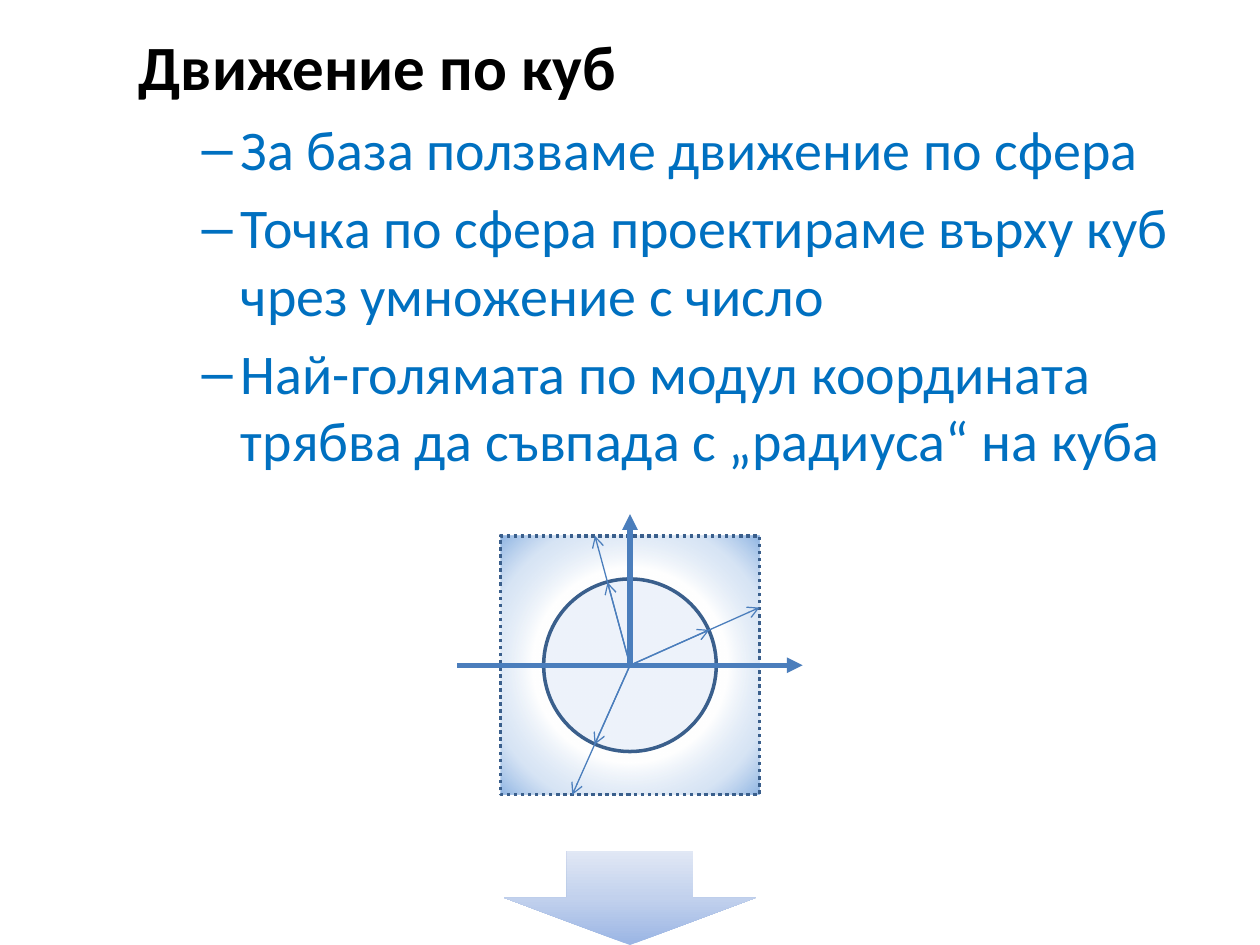
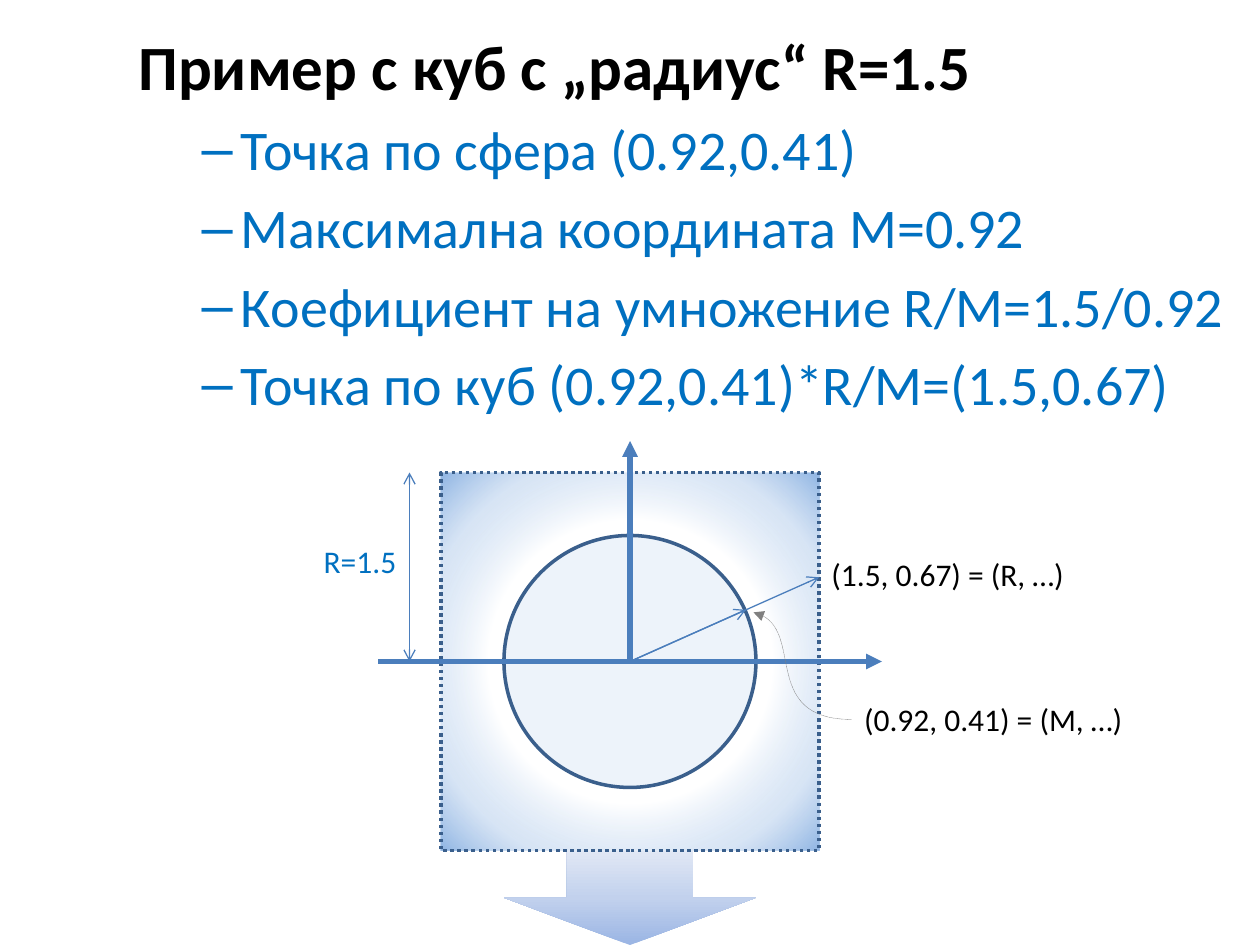
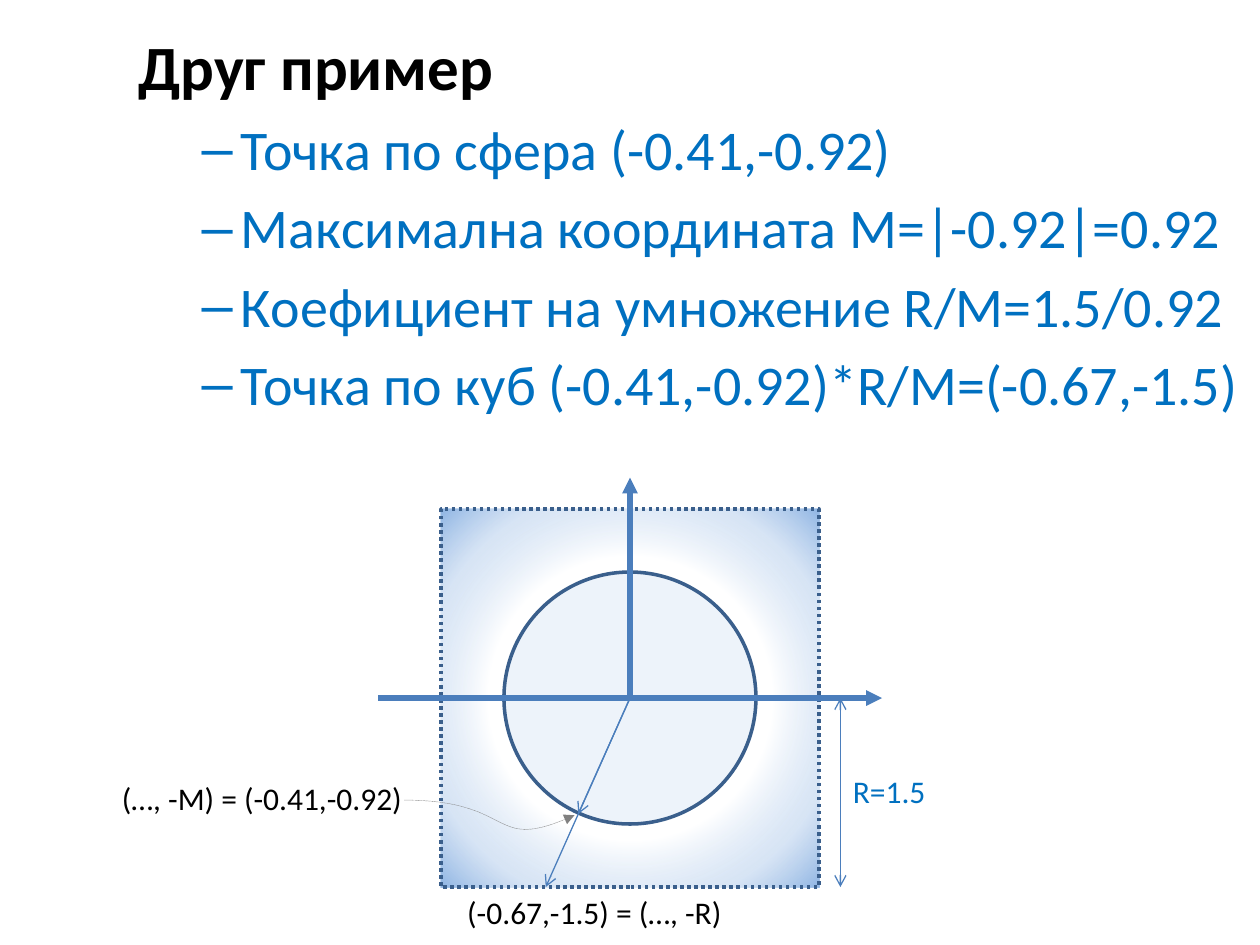
import pptx
import pptx.util
import pptx.dml.color
import pptx.enum.dml
import pptx.enum.shapes
import pptx.enum.text
import pptx.oxml
import pptx.oxml.ns

Inches = pptx.util.Inches
Pt = pptx.util.Pt
rgb = pptx.dml.color.RGBColor.from_string
form = pptx.enum.shapes.MSO_SHAPE
side = pptx.enum.text.PP_ALIGN
qn = pptx.oxml.ns.qn
DOTS = pptx.enum.dml.MSO_LINE.ROUND_DOT
XMLNS = pptx.oxml.ns.nsdecls("a")

FONT = "Calibri"
HUES = {"black": "000000", "blue": "0070C0", "edge": "3A5F8C", "line": "4B7EBC",
        "gray": "808080", "ball": "C6D9F1"}
CUBE = [(53, "FFFFFF", 100), (79, "C7DAF1", 71), (100, "8EB4E3", 100)]
NEXT = [(0, "9AB5E4", 100), (50, "C2D1ED", 100), (100, "E1E8F5", 100)]
RADIUS = 1.5
MID = 5

# Points are in sphere units; labels are text, left, top, width, hue, align, wrap.
slides = [
    {"title": "Движение по куб",
     "items": ["За база ползваме движение по сфера",
               "Точка по сфера проектираме върху куб чрез умножение с число",
               "Най-голямата по модул координата трябва да съвпада с „радиуса“ на куба"],
     "row": 5.28, "unit": 0.685, "more": True,
     "points": [(0.92, 0.41), (-0.26, 0.96), (-0.41, -0.92)],
     "labels": [], "span": None, "curve": None},
    {"title": "Пример с куб с „радиус“ R=1.5",
     "items": ["Точка по сфера (0.92,0.41)",
               "Максимална координата M=0.92",
               "Коефициент на умножение R/M=1.5/0.92",
               "Точка по куб (0.92,0.41)*R/M=(1.5,0.67)"],
     "row": 5.25, "unit": 1, "more": True, "points": [(0.92, 0.41)],
     "labels": [("(0.92, 0.41) = (M, …)", 6.76, 5.51, 2.57, "black", side.LEFT, True),
                ("(1.5, 0.67) = (R, …)", 6.5, 4.36, 2.42, "black", side.LEFT, True),
                ("R=1.5", 2.47, 4.25, 0.78, "blue", side.LEFT, False)],
     "span": (3.25, -RADIUS),
     "curve": [(6.76, 5.71), (6.05, 5.71), (6.41, 4.96), (5.98, 4.86)]},
    {"title": "Друг пример",
     "items": ["Точка по сфера (-0.41,-0.92)",
               "Максимална координата M=|-0.92|=0.92",
               "Коефициент на умножение R/M=1.5/0.92",
               "Точка по куб (-0.41,-0.92)*R/M=(-0.67,-1.5)"],
     "row": 5.54, "unit": 1, "more": False, "points": [(-0.41, -0.92)],
     "labels": [("(-0.67,-1.5) = (…, -R)", 3.61, 7.04, 2.97, "black", side.LEFT, True),
                ("(…, -M) = (-0.41,-0.92)", 0.67, 6.13, 2.62, "black", side.RIGHT, True),
                ("R=1.5", 6.67, 6.08, 0.78, "blue", side.LEFT, False)],
     "span": (6.67, RADIUS),
     "curve": [(3.21, 6.35), (4.08, 6.35), (3.88, 6.78), (4.56, 6.47)]},
]


def stroke(shape, hue, width, dash=None, head=None, tail=None):
    """Style the line, add its arrowheads and drop the shadow."""
    shape.line.color.rgb = rgb(HUES[hue])
    shape.line.width = Pt(width)
    if dash:
        shape.line.dash_style = dash
    part = shape._element.spPr
    for tag, kind in (("headEnd", head), ("tailEnd", tail)):
        if kind:
            part.get_or_add_ln().append(
                pptx.oxml.parse_xml(f'<a:{tag} {XMLNS} type="{kind}"/>'))
    part.append(pptx.oxml.parse_xml(f"<a:effectLst {XMLNS}/>"))


def blend(shape, stops, shade):
    """Fill with a gradient of (percent, hex, opacity) stops and a shade element."""
    marks = "".join(
        f'<a:gs pos="{pos * 1000}"><a:srgbClr val="{hue}">'
        f'<a:alpha val="{clear * 1000}"/></a:srgbClr></a:gs>'
        for pos, hue, clear in stops)
    fill = pptx.oxml.parse_xml(
        f'<a:gradFill {XMLNS} rotWithShape="1"><a:gsLst>{marks}</a:gsLst>{shade}</a:gradFill>')
    shape._element.spPr.find(qn("a:prstGeom")).addnext(fill)


deck = pptx.Presentation()
deck.slide_width, deck.slide_height = Inches(10), Inches(7.5)

for data in slides:
    slide = deck.slides.add_slide(deck.slide_layouts[1])
    shapes = slide.shapes
    row, unit = data["row"], data["unit"]

    # Heading and list share the body
    title = shapes.title._element
    title.getparent().remove(title)
    body = slide.placeholders[1]
    body.left, body.top = Inches(1), Inches(0.17)
    body.width, body.height = Inches(9), Inches(7.17)
    frame = body.text_frame
    for num, text in enumerate([data["title"]] + data["items"]):
        para = frame.add_paragraph() if num else frame.paragraphs[0]
        run = para.add_run()
        run.text = text
        run.font.name = FONT
        run.font.bold = num == 0
        run.font.size = Pt(32 if num else 36)
        run.font.color.rgb = rgb(HUES["blue" if num else "black"])
        if num:
            para.level = 1
        else:
            props = para._p.get_or_add_pPr()
            props.set("marL", "0")
            props.set("indent", "0")
            props.append(pptx.oxml.parse_xml(f"<a:buNone {XMLNS}/>"))

    if data["more"]:
        arrow = shapes.add_shape(form.DOWN_ARROW, Inches(4), Inches(6.75), Inches(2), Inches(0.75))
        blend(arrow, NEXT, '<a:lin ang="16200000" scaled="0"/>')
        arrow.line.fill.background()
        arrow.shadow.inherit = False

    # Cube and sphere around one centre
    cube, ball = [
        shapes.add_shape(kind, Inches(MID - half), Inches(row - half),
                         Inches(2 * half), Inches(2 * half))
        for kind, half in ((form.RECTANGLE, RADIUS * unit), (form.OVAL, unit))]
    blend(cube, CUBE, '<a:path path="circle">'
          '<a:fillToRect l="50000" t="50000" r="50000" b="50000"/></a:path>')
    stroke(cube, "edge", 2, DOTS)
    ball.fill.solid()
    ball.fill.fore_color.rgb = rgb(HUES["ball"])
    ball._element.spPr.find(".//" + qn("a:srgbClr")).append(
        pptx.oxml.parse_xml(f'<a:alpha {XMLNS} val="30000"/>'))
    stroke(ball, "edge", 2)

    # Axes, vectors to sphere and cube, and the measure of R
    links = [((MID - 2 * unit, row), (MID + 2 * unit, row), 3, None, "triangle"),
             ((MID, row), (MID, row - 1.75 * unit), 3, None, "triangle")]
    for x, y in data["points"]:
        for scale in (RADIUS / max(abs(x), abs(y)), 1):
            end = (MID + x * scale * unit, row - y * scale * unit)
            links.append(((MID, row), end, 0.75, None, "arrow"))
    if data["span"]:
        x, rise = data["span"]
        links.append(((x, row), (x, row + rise), 0.75, "arrow", "arrow"))
    for start, end, width, head, tail in links:
        link = shapes.add_connector(pptx.enum.shapes.MSO_CONNECTOR.STRAIGHT,
                                    *[Inches(n) for n in start + end])
        stroke(link, "line", width, head=head, tail=tail)

    # Curved pointer: the straight segment becomes a cubic one
    if data["curve"]:
        spots = [(Inches(x), Inches(y)) for x, y in data["curve"]]
        pen = shapes.build_freeform(*spots[0])
        pen.add_line_segments([spots[-1]], close=False)
        curve = pen.convert_to_shape()
        curve.fill.background()
        bend = "".join(f'<a:pt x="{x - curve.left}" y="{y - curve.top}"/>' for x, y in spots[1:])
        leg = curve._element.spPr.find(".//" + qn("a:lnTo"))
        leg.getparent().replace(
            leg, pptx.oxml.parse_xml(f"<a:cubicBezTo {XMLNS}>{bend}</a:cubicBezTo>"))
        stroke(curve, "gray", 0.25, DOTS, tail="triangle")

    for text, left, top, width, hue, align, wrap in data["labels"]:
        box = shapes.add_textbox(Inches(left), Inches(top), Inches(width), Inches(0.4))
        box.text_frame.word_wrap = wrap
        box.text_frame.auto_size = pptx.enum.text.MSO_AUTO_SIZE.SHAPE_TO_FIT_TEXT
        para = box.text_frame.paragraphs[0]
        para.alignment = align
        run = para.add_run()
        run.text = text
        run.font.name = FONT
        run.font.size = Pt(18)
        run.font.color.rgb = rgb(HUES[hue])

deck.save("out.pptx")
